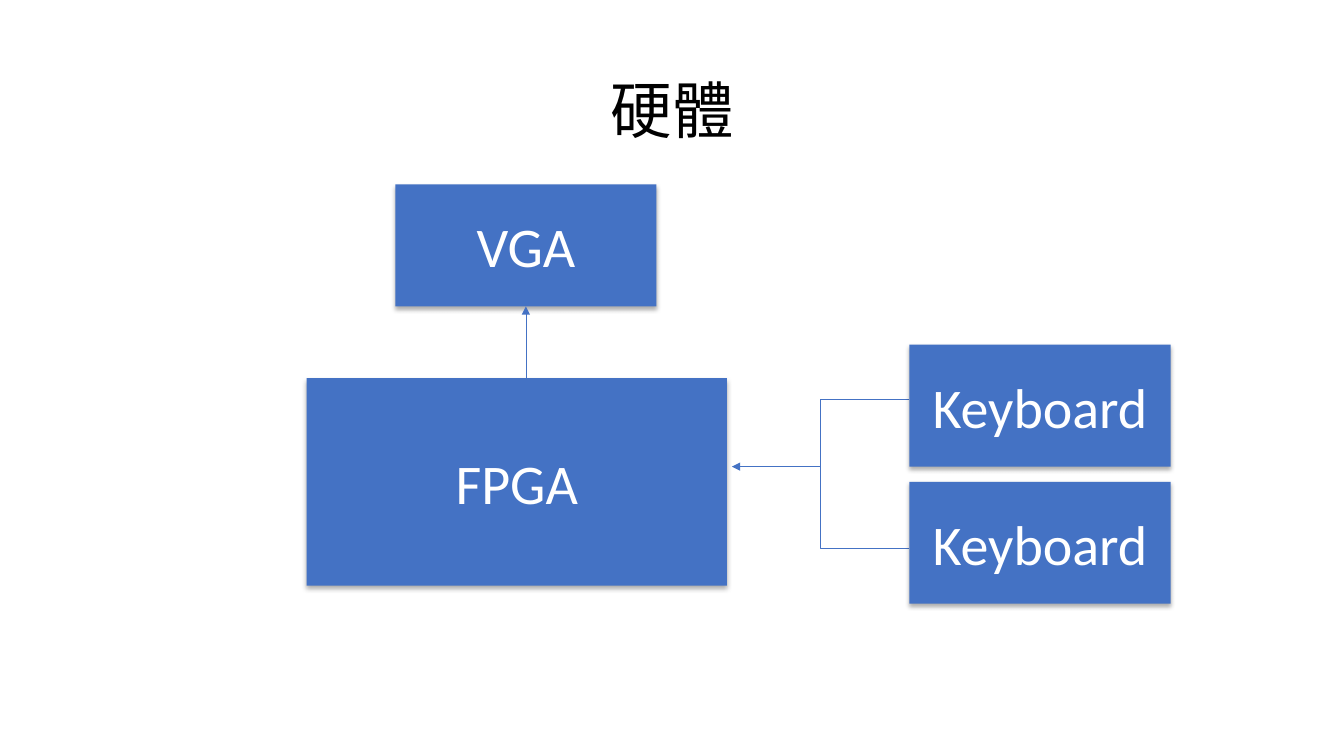
import lxml.etree
import pptx
import pptx.dml.color
import pptx.enum.shapes
import pptx.enum.text
import pptx.oxml.ns
import pptx.util

BLUE = pptx.dml.color.RGBColor(0x44, 0x72, 0xC4)
WHITE = pptx.dml.color.RGBColor(0xFF, 0xFF, 0xFF)
BLACK = pptx.dml.color.RGBColor(0x00, 0x00, 0x00)

DEVICE_SIZE = (19.43, 16.13)
KEYBOARD_LEFT = 67.67
KEYBOARD_TOPS = (45.6, 63.73)
VGA_CENTER, VGA_BOTTOM = 39.13, 40.53
FPGA_TOP = 50
BUS_ROW = 61.73


def add_element(parent, tag, **attributes):
    return lxml.etree.SubElement(parent, pptx.oxml.ns.qn(tag), attributes)


class DiagramSlide:
    """Draws hardware blocks at percentages of the slide's width and height."""

    font_name = "Calibri"
    block_size = 40
    title_size = 44
    line_width = 0.5

    def __init__(self, presentation):
        self.width = presentation.slide_width
        self.height = presentation.slide_height
        self.slide = presentation.slides.add_slide(presentation.slide_layouts[5])

    def place(self, x, y):
        return round(self.width * x / 100), round(self.height * y / 100)

    def label(self, shape, text, size, color):
        frame = shape.text_frame
        frame.text = text
        frame.word_wrap = True
        frame.vertical_anchor = pptx.enum.text.MSO_ANCHOR.MIDDLE
        paragraph = frame.paragraphs[0]
        paragraph.alignment = pptx.enum.text.PP_ALIGN.CENTER
        font = paragraph.runs[0].font
        font.name = self.font_name
        font.size = pptx.util.Pt(size)
        font.color.rgb = color
        return paragraph

    def title(self, text, x, y, width, height):
        shape = self.slide.shapes.title
        shape.left, shape.top = self.place(x, y)
        shape.width, shape.height = self.place(width, height)
        self.label(shape, text, self.title_size, BLACK).line_spacing = 0.9

    def block(self, text, x, y, width, height):
        shape = self.slide.shapes.add_shape(
            pptx.enum.shapes.MSO_SHAPE.RECTANGLE,
            *self.place(x, y), *self.place(width, height))
        shape.fill.solid()
        shape.fill.fore_color.rgb = BLUE
        shape.line.fill.background()
        shape.shadow.inherit = False
        effects = shape._element.spPr.find(pptx.oxml.ns.qn("a:effectLst"))
        shadow = add_element(
            effects, "a:outerShdw", blurRad=str(int(pptx.util.Pt(3.5))),
            dist=str(int(pptx.util.Pt(2.2))), dir="5400000", rotWithShape="0")
        color = add_element(shadow, "a:srgbClr", val=str(BLACK))
        add_element(color, "a:alpha", val="32000")
        self.label(shape, text, self.block_size, WHITE)
        return shape

    def connector(self, kind, start, end, arrow=False):
        line = self.slide.shapes.add_connector(
            kind, *self.place(*start), *self.place(*end))
        line.line.color.rgb = BLUE
        line.line.width = pptx.util.Pt(self.line_width)
        properties = line._element.spPr
        if arrow:
            outline = properties.find(pptx.oxml.ns.qn("a:ln"))
            add_element(outline, "a:tailEnd", type="triangle")
        add_element(properties, "a:effectLst")
        return line

    def elbow(self, start, end, bend, arrow=False):
        line = self.connector(
            pptx.enum.shapes.MSO_CONNECTOR.ELBOW, start, end, arrow)
        geometry = line._element.spPr.find(pptx.oxml.ns.qn("a:prstGeom"))
        guides = geometry.find(pptx.oxml.ns.qn("a:avLst"))
        if guides is None:
            guides = add_element(geometry, "a:avLst")
        add_element(guides, "a:gd", name="adj1", fmla=f"val {round(bend * 100000)}")


def main():
    presentation = pptx.Presentation()
    presentation.slide_width = pptx.util.Inches(13.33)
    presentation.slide_height = pptx.util.Inches(7.5)
    diagram = DiagramSlide(presentation)

    diagram.title("硬體", 6.9, 5.33, 86.27, 19.33)
    diagram.block("FPGA", 22.81, FPGA_TOP, 31.28, 27.47)
    diagram.elbow((KEYBOARD_LEFT, 52.8), (55.14, BUS_ROW), 0.53)
    diagram.elbow((KEYBOARD_LEFT, 72.53), (54.46, BUS_ROW), 0.5, arrow=True)
    for top in KEYBOARD_TOPS:
        diagram.block("Keyboard", KEYBOARD_LEFT, top, *DEVICE_SIZE)

    vga = diagram.block("VGA", VGA_CENTER - DEVICE_SIZE[0] / 2,
                        VGA_BOTTOM - DEVICE_SIZE[1], *DEVICE_SIZE)
    video_arrow = diagram.connector(
        pptx.enum.shapes.MSO_CONNECTOR.STRAIGHT,
        (VGA_CENTER, FPGA_TOP), (VGA_CENTER, VGA_BOTTOM), arrow=True)
    video_arrow.end_connect(vga, 2)

    presentation.save("out.pptx")


if __name__ == "__main__":
    main()
